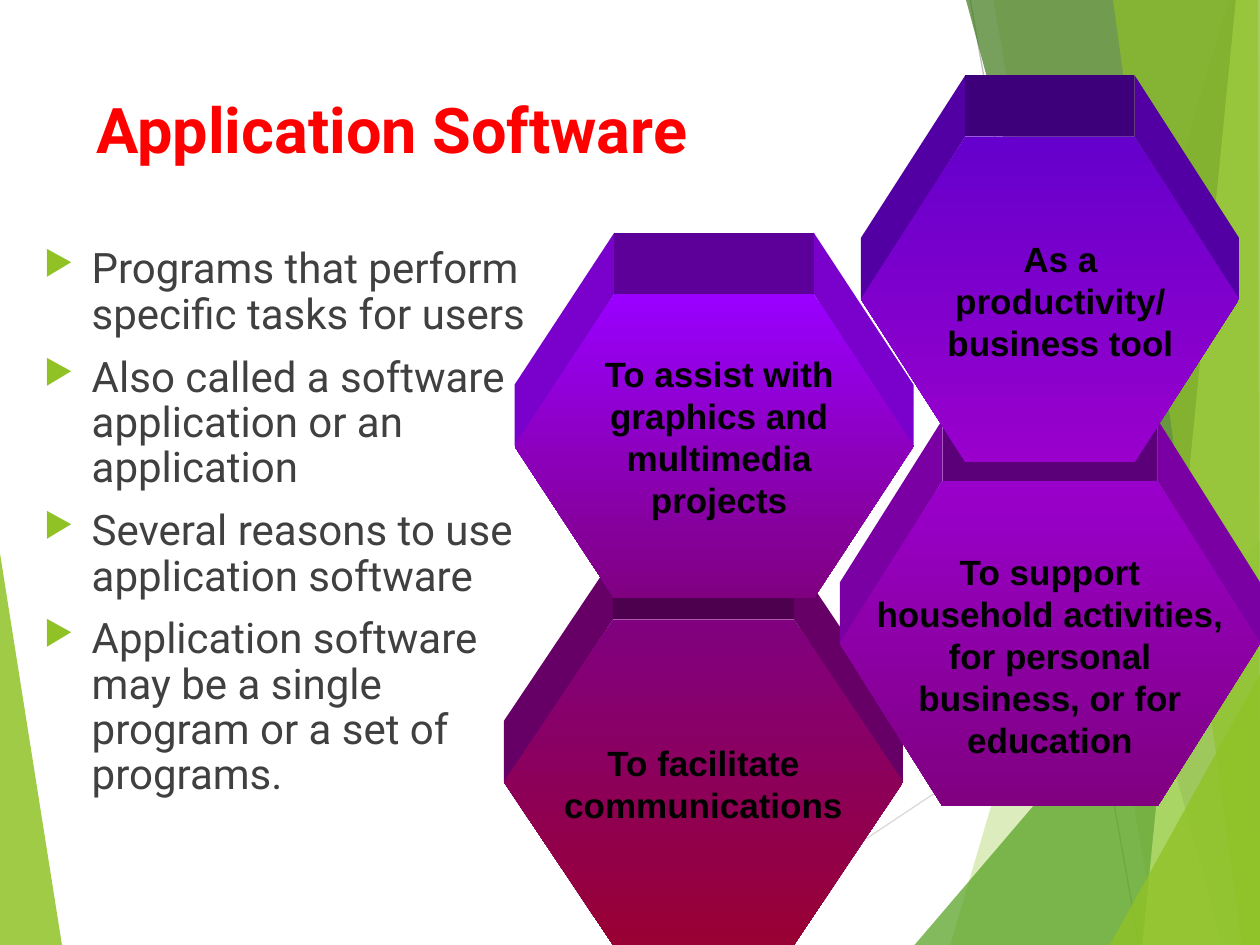
from lxml.etree import SubElement
from pptx import Presentation
from pptx.dml.color import RGBColor
from pptx.enum.shapes import MSO_CONNECTOR, MSO_SHAPE
from pptx.enum.text import PP_ALIGN
from pptx.oxml.ns import qn
from pptx.util import Inches, Pt

COLUMNS, ROWS = 120, 90
WIDTH, HEIGHT = Inches(10), Inches(7.5)
WALL_ROWS = 5.85

COLORS = {
    "lime": "90C226", "green": "54A021", "forest": "3F7819", "pale": "C0E474",
    "ray_light": "D9D9D9", "ray_dark": "BFBFBF",
    "title": "FF0000", "body": "404040", "label": "000000",
    "blue_violet": "6600CC", "violet": "9900FF", "magenta": "9900CC",
    "purple": "800080", "crimson": "990033",
}

FACETS = [
    ("lime", 85, [(0, 52.7), (5.9, 90), (0, 90)]),
    ("lime", 30, [(117, 0), (90.5, 90), (120, 90), (120, 0)]),
    ("lime", 20, [(94.6, 0), (110.3, 90), (120, 90), (120, 0)]),
    ("green", 72, [(87.1, 90), (120, 51.5), (120, 90)]),
    ("forest", 70, [(92, 0), (116.4, 90), (120, 90), (120, 0)]),
    ("pale", 70, [(117.7, 0), (108.8, 90), (120, 90), (120, 0)]),
    ("lime", 65, [(106, 0), (118.3, 90), (120, 90), (119.8, 0)]),
    ("lime", 80, [(105.7, 90), (120, 64.2), (120, 90)]),
]

RAYS = [
    ("ray_light", (67.3, 90), (120, 54.9)),
    ("ray_dark", (92.4, 0), (108.5, 90)),
]

REASONS = [
    ((48, 59, 38, 31), 0.335, "purple", "crimson",
     (2, 11, 34, 9.2), "To facilitate communications"),
    ((80, 45.8, 40, 31), 0.315, "magenta", "purple",
     (2, 6, 36, 25.2),
     "To support household activities, for personal business, or for education"),
    ((82, 13, 36, 31), 0.321, "blue_violet", "magenta",
     (7, 9, 24, 13.2), "As a productivity/\vbusiness tool"),
    ((49, 28, 38, 29), 0.328, "violet", "purple",
     (4, 5, 31, 17.2), "To assist with graphics and multimedia projects"),
]

POINTS = [
    "Programs that perform specific tasks for users",
    "Also called a software application or an application",
    "Several reasons to use application software",
    "Application software may be a single program or a set of programs.",
]


def across(columns):
    return round(WIDTH * columns / COLUMNS)


def down(rows):
    return round(HEIGHT * rows / ROWS)


def place(box):
    left, top, width, height = box
    return across(left), down(top), across(width), down(height)


def color(name):
    return RGBColor.from_string(COLORS[name])


def darker(name, share):
    return RGBColor(*(round(channel * share) for channel in color(name)))


def add_polygon(slide, corners, rgb, opacity=100):
    start, *rest = [(across(x), down(y)) for x, y in corners]
    builder = slide.shapes.build_freeform(*start)
    builder.add_line_segments(rest, close=True)
    polygon = builder.convert_to_shape()
    polygon.shadow.inherit = False
    polygon.line.fill.background()
    polygon.fill.solid()
    polygon.fill.fore_color.rgb = rgb
    if opacity < 100:
        tint = polygon.fill._xPr.find(".//" + qn("a:srgbClr"))
        SubElement(tint, qn("a:alpha"), val=str(opacity * 1000))


def add_text(slide, box):
    frame = slide.shapes.add_textbox(*place(box)).text_frame
    frame.word_wrap = True
    return frame


def style(paragraph, font_name, size, color_name, bold=False):
    font = paragraph.font
    font.name, font.size, font.bold = font_name, Pt(size), bold
    font.color.rgb = color(color_name)


def add_backdrop(slide):
    first, *others = FACETS
    add_polygon(slide, first[2], color(first[0]), first[1])
    for name, start, end in RAYS:
        ray = slide.shapes.add_connector(
            MSO_CONNECTOR.STRAIGHT, across(start[0]), down(start[1]),
            across(end[0]), down(end[1]))
        ray.line.color.rgb = color(name)
        ray.line.width = Pt(0.75)
        SubElement(ray._element.spPr, qn("a:effectLst"))
    for name, opacity, corners in others:
        add_polygon(slide, corners, color(name), opacity)


def add_walls(slide, box, inset, name):
    left, top, width, height = box
    right, middle, roof = left + width, top + height / 2, top - WALL_ROWS
    for edge, corner in ((left, left + inset), (right, right - inset)):
        add_polygon(slide, [(edge, middle), (edge, middle - WALL_ROWS),
                            (corner, roof), (corner, top)], darker(name, 0.8))
    add_polygon(slide, [(left + inset, roof), (right - inset, roof),
                        (right - inset, top), (left + inset, top)],
                darker(name, 0.6))


def add_reason(slide, box, slant, upper, lower, label_box, words):
    left, top, width, height = box
    add_walls(slide, box, slant * height, upper)
    face = slide.shapes.add_shape(MSO_SHAPE.HEXAGON, *place(box))
    face.adjustments[0] = slant
    face.shadow.inherit = False
    face.line.fill.background()
    face.fill.gradient()
    face.fill.gradient_angle = 270
    for stop, name in zip(face.fill.gradient_stops, (upper, lower)):
        stop.color.rgb = color(name)

    dx, dy, label_width, label_height = label_box
    frame = add_text(slide, (left + dx, top + dy, label_width, label_height))
    label = frame.paragraphs[0]
    label.text = words
    label.alignment = PP_ALIGN.CENTER
    label.line_spacing = Pt(24)
    style(label, "Arial", 20, "label", bold=True)


def add_title(slide, box):
    title = add_text(slide, box).paragraphs[0]
    title.text = "Application Software"
    style(title, "Roboto", 36, "title", bold=True)


def add_bullet(paragraph):
    properties = paragraph._p.get_or_add_pPr()
    indent = Inches(0.38)
    properties.set("marL", str(indent))
    properties.set("indent", str(-indent))
    tint = SubElement(properties, qn("a:buClr"))
    SubElement(tint, qn("a:srgbClr"), val=COLORS["lime"])
    SubElement(properties, qn("a:buSzPct"), val="80000")
    SubElement(properties, qn("a:buChar"), char="▶")


def add_points(slide, box):
    frame = add_text(slide, box)
    for index, words in enumerate(POINTS):
        point = frame.add_paragraph() if index else frame.paragraphs[0]
        point.text = words
        point.line_spacing = 0.9
        if index:
            point.space_before = Pt(10)
        add_bullet(point)
        style(point, "Roboto", 24, "body")


def main():
    deck = Presentation()
    deck.slide_width, deck.slide_height = WIDTH, HEIGHT
    slide = deck.slides.add_slide(deck.slide_layouts[6])
    add_backdrop(slide)
    for reason in REASONS:
        add_reason(slide, *reason)
    add_title(slide, (8, 8, 83.3, 17.3))
    add_points(slide, (3, 23, 49, 67))
    deck.save("out.pptx")


if __name__ == "__main__":
    main()
